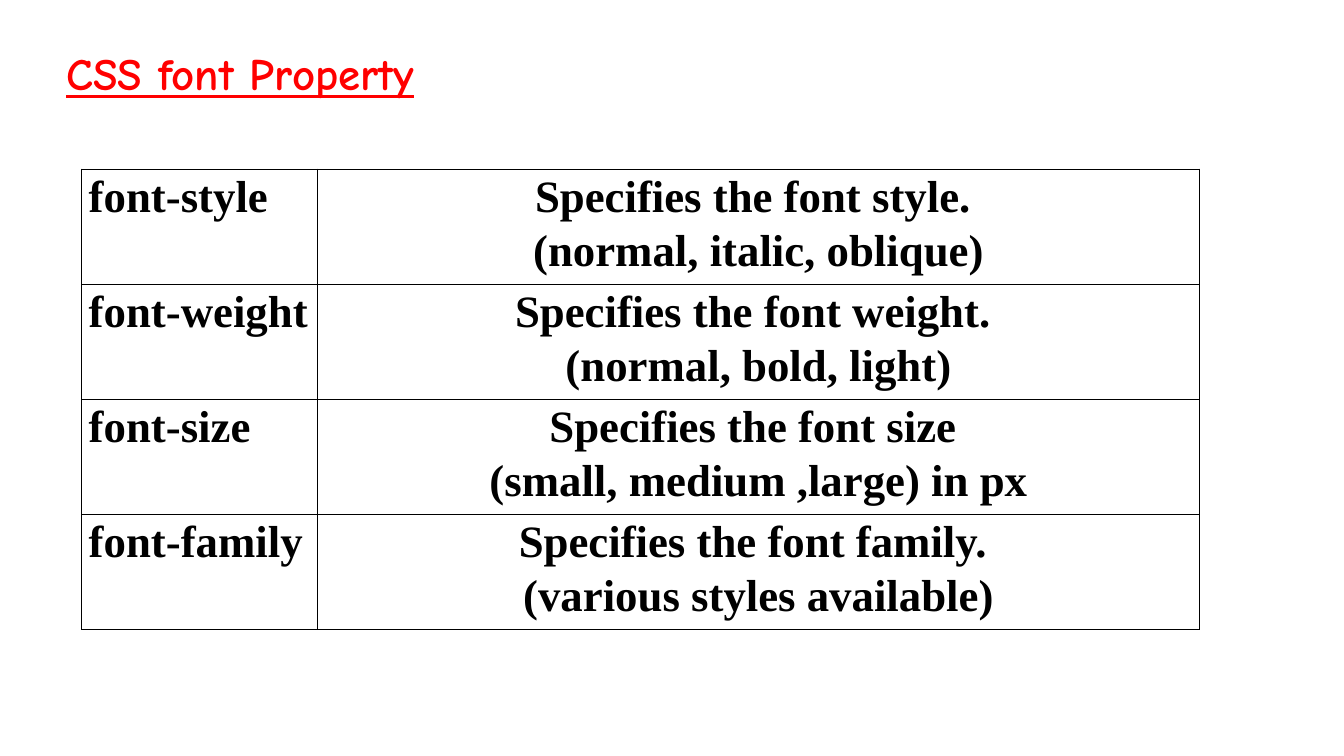
from dataclasses import dataclass

from lxml.etree import SubElement
from pptx import Presentation
from pptx.dml.color import RGBColor
from pptx.enum.text import MSO_AUTO_SIZE, PP_ALIGN
from pptx.oxml.ns import qn
from pptx.util import Inches, Pt

TITLE = "CSS font Property"
PROPERTIES = [
    ("font-style", "Specifies the font style. ", "(normal, italic, oblique)"),
    ("font-weight", "Specifies the font weight. ", "(normal, bold, light)"),
    ("font-size", "Specifies the font size ", "(small, medium ,large) in px"),
    ("font-family", "Specifies the font family. ", "(various styles available)"),
]
COLUMN_WIDTHS = (2.34, 8.75)
ROW_HEIGHT = 1.14


@dataclass(frozen=True)
class Theme:
    title_font: str = "Comic Neue"
    body_font: str = "Times New Roman"
    title_color: str = "FF0000"
    body_color: str = "000000"
    border_color: str = "000000"
    size: int = 32
    border_width: int = 1
    line_spacing: float = 1.07


THEME = Theme()


def style_paragraph(paragraph, font_name, color, alignment=PP_ALIGN.LEFT):
    paragraph.alignment = alignment
    paragraph.line_spacing = THEME.line_spacing
    font = paragraph.font
    font.name = font_name
    font.size = Pt(THEME.size)
    font.bold = True
    font.color.rgb = RGBColor.from_string(color)


def add_borders(cell):
    properties = cell._tc.get_or_add_tcPr()
    for side in ("a:lnL", "a:lnR", "a:lnT", "a:lnB"):
        line = SubElement(properties, qn(side), w=str(Pt(THEME.border_width)))
        fill = SubElement(line, qn("a:solidFill"))
        SubElement(fill, qn("a:srgbClr"), val=THEME.border_color)


def fill_cell(cell, lines, alignment):
    cell.margin_left = cell.margin_right = Inches(0.07)
    cell.margin_top = cell.margin_bottom = 0
    cell.text = "\n".join(lines)
    for paragraph in cell.text_frame.paragraphs:
        style_paragraph(paragraph, THEME.body_font, THEME.body_color, alignment)
    add_borders(cell)
    cell.fill.background()


def add_title(slide):
    box = slide.shapes.add_textbox(Inches(0.56), Inches(0.37), Inches(4.26), Inches(0.68))
    frame = box.text_frame
    frame.word_wrap = False
    frame.auto_size = MSO_AUTO_SIZE.SHAPE_TO_FIT_TEXT
    paragraph = frame.paragraphs[0]
    paragraph.text = TITLE
    paragraph.space_after = Pt(8)
    style_paragraph(paragraph, THEME.title_font, THEME.title_color)
    paragraph.font.underline = True


def add_property_table(slide):
    row_count = len(PROPERTIES)
    frame = slide.shapes.add_table(
        row_count, len(COLUMN_WIDTHS), Inches(0.81), Inches(1.68),
        Inches(sum(COLUMN_WIDTHS)), Inches(ROW_HEIGHT * row_count))
    table = frame.table
    table.first_row = False
    table.horz_banding = False
    for column, width in zip(table.columns, COLUMN_WIDTHS):
        column.width = Inches(width)
    for row, (name, *description) in zip(table.rows, PROPERTIES):
        row.height = Inches(ROW_HEIGHT)
        fill_cell(row.cells[0], [name], PP_ALIGN.LEFT)
        fill_cell(row.cells[1], description, PP_ALIGN.CENTER)


def main():
    presentation = Presentation()
    presentation.slide_width = Inches(13.33)
    presentation.slide_height = Inches(7.5)
    slide = presentation.slides.add_slide(presentation.slide_layouts[6])
    add_title(slide)
    add_property_table(slide)
    presentation.save("out.pptx")


if __name__ == "__main__":
    main()
